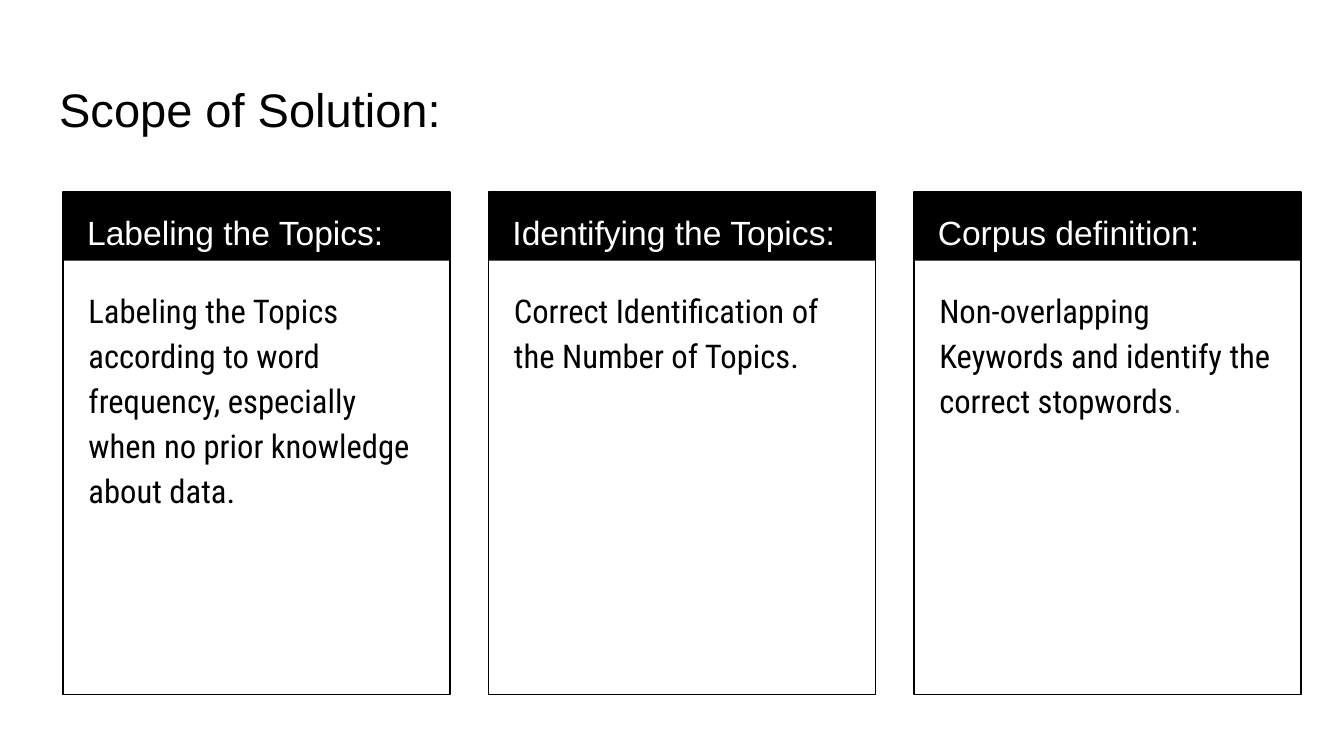
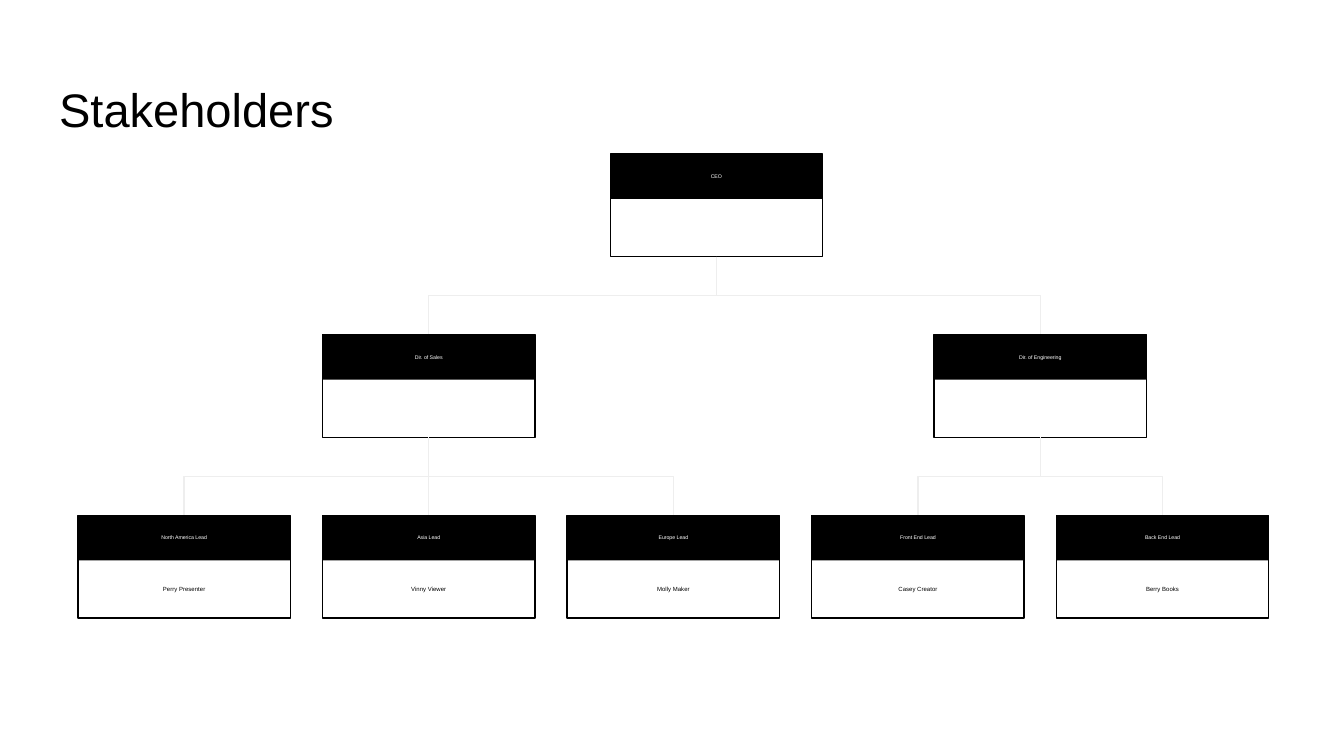
"""Build the scope and stakeholder slides."""
from lxml.etree import SubElement
from pptx import Presentation
from pptx.dml.color import RGBColor
from pptx.enum.shapes import MSO_CONNECTOR as Connector, MSO_SHAPE as Shape
from pptx.enum.text import MSO_ANCHOR as Anchor, MSO_AUTO_SIZE as AutoSize, PP_ALIGN as Align
from pptx.oxml.ns import qn
from pptx.util import Emu, Pt

SCOPE_TITLE = "Scope of Solution:"
SCOPE_CARDS = [
    ("Labeling the Topics:",
     "Labeling the Topics according to word frequency, especially when no prior knowledge about data.", ""),
    ("Identifying the Topics:", "Correct Identification of the Number of Topics.", ""),
    ("Corpus definition:", "Non-overlapping Keywords and identify the correct stopwords", "."),
]

STAKEHOLDERS_TITLE = "Stakeholders"
CEO = "CEO"
DIRECTORS = [
    ("Dir. of Sales", [("North America Lead", "Perry Presenter"),
                       ("Asia Lead", "Vinny Viewer"),
                       ("Europe Lead", "Molly Maker")]),
    ("Dir. of Engineering", [("Front End Lead", "Casey Creator"),
                             ("Back End Lead", "Berry Books")]),
]

BLACK, WHITE, GREY, PALE = "000000", "FFFFFF", "595959", "EEEEEE"
SANS, CONDENSED = "Arial", "Roboto Condensed"
PX = 4572
INSET = 20
SCOPE_LEFT, SCOPE_TOP, SCOPE_PITCH = 94, 286, 633
SCOPE_W, SCOPE_H, SCOPE_HEAD = 576, 748, 102
ROLE_LEFT, ROLE_TOP, ROLE_PITCH, LEVEL_PITCH = 116, 229, 364, 269
ROLE_W, ROLE_H, ROLE_HEAD = 316, 153, 67
CEO_LEFT = 908


def px(*lengths):
    return [Emu(round(length * PX)) for length in lengths]


def color(hex_code):
    return RGBColor.from_string(hex_code)


def write(frame, runs, align=Align.LEFT, anchor=Anchor.TOP, spacing=None, after=0):
    frame.word_wrap = True
    frame.auto_size = AutoSize.NONE
    frame.vertical_anchor = anchor
    frame.margin_left, frame.margin_top, frame.margin_right, frame.margin_bottom = px(*[INSET] * 4)
    paragraph = frame.paragraphs[0]
    paragraph.alignment = align
    paragraph.line_spacing = spacing
    paragraph.space_after = Pt(after)
    for words, size, font, ink in runs:
        run = paragraph.add_run()
        run.text = words
        run.font.size = Pt(size)
        run.font.name = font
        run.font.color.rgb = color(ink)


def add_text(slide, box, runs, **layout):
    write(slide.shapes.add_textbox(*px(*box)).text_frame, runs, **layout)


def add_card(slide, left, top, width, height, head):
    frame = slide.shapes.add_shape(Shape.RECTANGLE, *px(left, top, width, height))
    frame.fill.background()
    frame.line.color.rgb = color(BLACK)
    frame.line.width = Pt(0.75)
    header = slide.shapes.add_shape(Shape.RECTANGLE, *px(left, top, width, head))
    header.fill.solid()
    header.fill.fore_color.rgb = color(BLACK)
    header.line.fill.background()
    for part in (frame, header):
        part.shadow.inherit = False


def add_titled_slide(deck, title):
    slide = deck.slides.add_slide(deck.slide_layouts[5])
    heading = slide.shapes.title
    heading.left, heading.top, heading.width, heading.height = px(68, 98, 1864, 126)
    write(heading.text_frame, [(title, 25.2, SANS, BLACK)], anchor=Anchor.BOTTOM)
    return slide


def add_scope(deck):
    slide = add_titled_slide(deck, SCOPE_TITLE)
    for index, (topic, detail, stop) in enumerate(SCOPE_CARDS):
        left = SCOPE_LEFT + index * SCOPE_PITCH
        add_card(slide, left, SCOPE_TOP, SCOPE_W, SCOPE_H, SCOPE_HEAD)
        add_text(slide, (left + 16, SCOPE_TOP, 546, 100),
                 [(topic, 18, SANS, WHITE)], spacing=1.15)
        runs = [(detail, 17.5, CONDENSED, BLACK)]
        if stop:
            runs.append((stop, 16, SANS, GREY))
        add_text(slide, (left + 18, SCOPE_TOP + 118, 542, 612), runs, spacing=1.15, after=16)


def add_role(slide, left, level, role, person=""):
    top = ROLE_TOP + level * LEVEL_PITCH
    add_card(slide, left, top, ROLE_W, ROLE_H, ROLE_HEAD)
    for words, offset, size, ink in ((role, 13, 2.8, WHITE), (person, 89, 3.2, BLACK)):
        if words:
            add_text(slide, (left, top + offset, ROLE_W, 42), [(words, size, SANS, ink)],
                     align=Align.CENTER, anchor=Anchor.MIDDLE, spacing=0.8)


def add_branch(slide, parent_left, child_left, level):
    start, end = parent_left + ROLE_W / 2, child_left + ROLE_W / 2
    top = ROLE_TOP + level * LEVEL_PITCH + ROLE_H
    drop = LEVEL_PITCH - ROLE_H
    if start == end:
        branch = slide.shapes.add_connector(Connector.STRAIGHT, *px(start, top, end, top + drop))
    else:
        across, down = (start + end) / 2, top + drop / 2
        half_span = abs(end - start) / 2
        half_drop = drop / 2 if end > start else -drop / 2
        branch = slide.shapes.add_connector(Connector.ELBOW, *px(
            across + half_drop, down - half_span, across - half_drop, down + half_span))
        quarter_turns = 3 if end > start else 1
        branch._element.spPr.find(qn("a:xfrm")).set("rot", str(quarter_turns * 5400000))
    branch.line.color.rgb = color(PALE)
    branch.line.width = Pt(0.75)
    SubElement(branch._element.spPr, qn("a:effectLst"))


def add_stakeholders(deck):
    slide = add_titled_slide(deck, STAKEHOLDERS_TITLE)
    add_role(slide, CEO_LEFT, 0, CEO)
    column = 0
    for director, leads in DIRECTORS:
        lefts = [ROLE_LEFT + (column + index) * ROLE_PITCH for index in range(len(leads))]
        column += len(leads)
        director_left = sum(lefts) / len(lefts)
        add_branch(slide, CEO_LEFT, director_left, 0)
        add_role(slide, director_left, 1, director)
        for left in lefts:
            add_branch(slide, director_left, left, 1)
        for left, (role, person) in zip(lefts, leads):
            add_role(slide, left, 2, role, person)


def main():
    deck = Presentation()
    deck.slide_width, deck.slide_height = px(2000, 1125)
    add_scope(deck)
    add_stakeholders(deck)
    deck.save("out.pptx")


if __name__ == "__main__":
    main()
